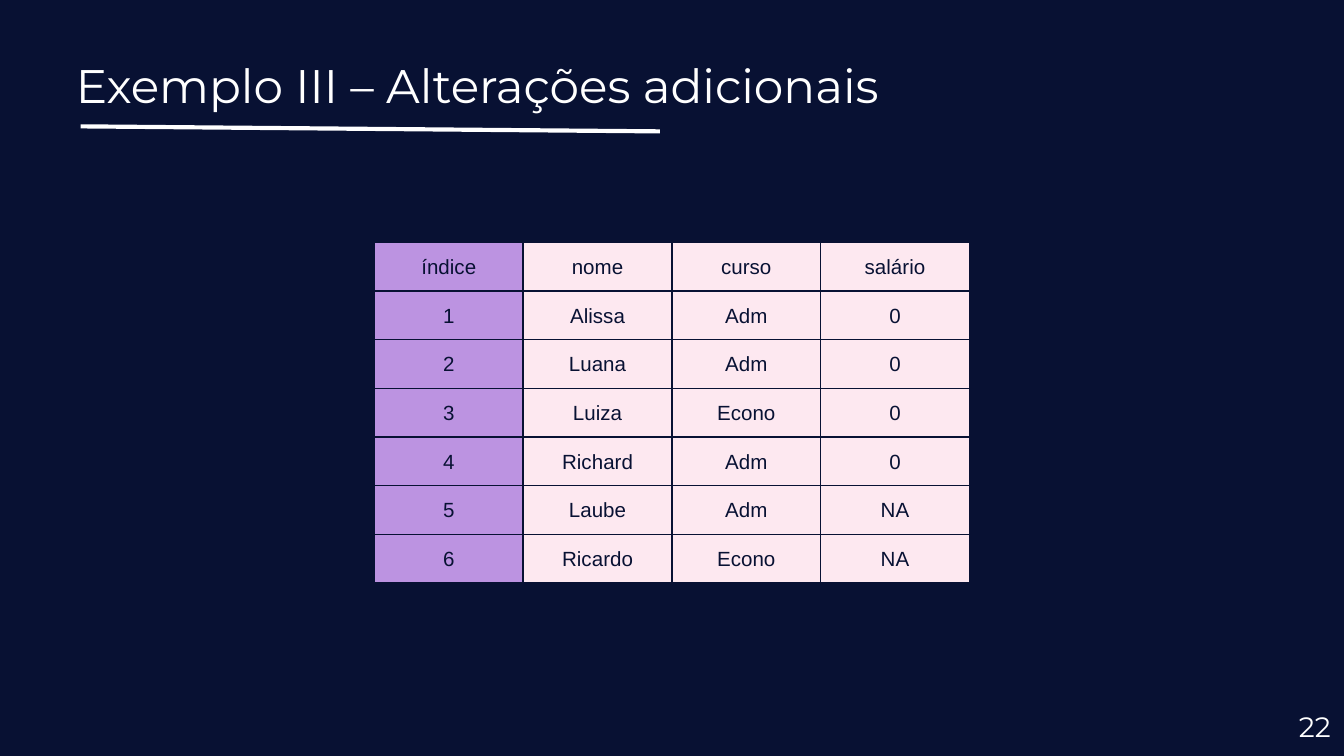
from lxml.etree import SubElement
from pptx import Presentation
from pptx.dml.color import RGBColor
from pptx.enum.shapes import MSO_CONNECTOR as Connector
from pptx.enum.text import MSO_ANCHOR as Anchor, PP_ALIGN as Align
from pptx.oxml.ns import qn
from pptx.util import Pt

TITLE = "Exemplo III – Alterações adicionais"
PAGE_NUMBER = "22"
HEADER = ("índice", "nome", "curso", "salário")
STUDENTS = [
    ("Alissa", "Adm", "0"),
    ("Luana", "Adm", "0"),
    ("Luiza", "Econo", "0"),
    ("Richard", "Adm", "0"),
    ("Laube", "Adm", "NA"),
    ("Ricardo", "Econo", "NA"),
]

NAVY = RGBColor(0x08, 0x11, 0x33)
WHITE = RGBColor(0xFF, 0xFF, 0xFF)
PURPLE = RGBColor(0xBC, 0x93, 0xE1)
PINK = RGBColor(0xFD, 0xE8, 0xF0)

PAGE_WIDTH, PAGE_HEIGHT = 720, 405
TABLE_TOP = 129.8
COLUMN_WIDTH, ROW_HEIGHT = 79.7, 26.1


def write(frame, text, size, font, color, align):
    para = frame.paragraphs[0]
    para.alignment = align
    span = para.add_run()
    span.text = text
    span.font.size = Pt(size)
    span.font.name = font
    span.font.color.rgb = color


def add_text(page, left, top, width, height, text, size, align, anchor):
    box = page.shapes.add_textbox(Pt(left), Pt(top), Pt(width), Pt(height))
    frame = box.text_frame
    frame.word_wrap = True
    frame.vertical_anchor = anchor
    frame.margin_left = frame.margin_right = Pt(7.2)
    frame.margin_top = frame.margin_bottom = Pt(7.2)
    write(frame, text, size, "Montserrat", WHITE, align)


def add_underline(page):
    line = page.shapes.add_connector(
        Connector.STRAIGHT, Pt(43.2), Pt(67.7), Pt(353.5), Pt(70.4))
    line.line.color.rgb = WHITE
    line.line.width = Pt(2.25)
    SubElement(line._element.spPr, qn("a:effectLst"))


def add_borders(cell):
    properties = cell._tc.get_or_add_tcPr()
    for side in ("lnL", "lnR", "lnT", "lnB"):
        border = SubElement(properties, qn(f"a:{side}"), w=str(Pt(1)))
        fill = SubElement(border, qn("a:solidFill"))
        SubElement(fill, qn("a:srgbClr"), val=str(NAVY))


def add_student_table(page):
    rows = [HEADER] + [(str(i), *row) for i, row in enumerate(STUDENTS, 1)]
    width = COLUMN_WIDTH * len(HEADER)
    left = (PAGE_WIDTH - width) / 2
    table = page.shapes.add_table(
        len(rows), len(HEADER), Pt(left), Pt(TABLE_TOP),
        Pt(width), Pt(ROW_HEIGHT * len(rows))).table
    for column in table.columns:
        column.width = Pt(COLUMN_WIDTH)
    for r, row in enumerate(rows):
        table.rows[r].height = Pt(ROW_HEIGHT)
        for c, text in enumerate(row):
            cell = table.cell(r, c)
            cell.vertical_anchor = Anchor.MIDDLE
            cell.margin_left = cell.margin_right = cell.margin_top = Pt(0.7)
            cell.margin_bottom = 0
            add_borders(cell)
            cell.fill.solid()
            cell.fill.fore_color.rgb = PINK if c else PURPLE
            write(cell.text_frame, text, 11, "Arial", NAVY, Align.CENTER)


def main():
    deck = Presentation()
    deck.slide_width, deck.slide_height = Pt(PAGE_WIDTH), Pt(PAGE_HEIGHT)
    page = deck.slides.add_slide(deck.slide_layouts[6])
    page.background.fill.solid()
    page.background.fill.fore_color.rgb = NAVY
    add_underline(page)
    add_text(page, 33.5, 23.2, 671, 45.4, TITLE, 25.2, Align.LEFT, Anchor.TOP)
    add_text(page, 676.8, 373.8, 43.2, 31, PAGE_NUMBER, 15, Align.RIGHT, Anchor.MIDDLE)
    add_student_table(page)
    deck.save("out.pptx")


if __name__ == "__main__":
    main()
